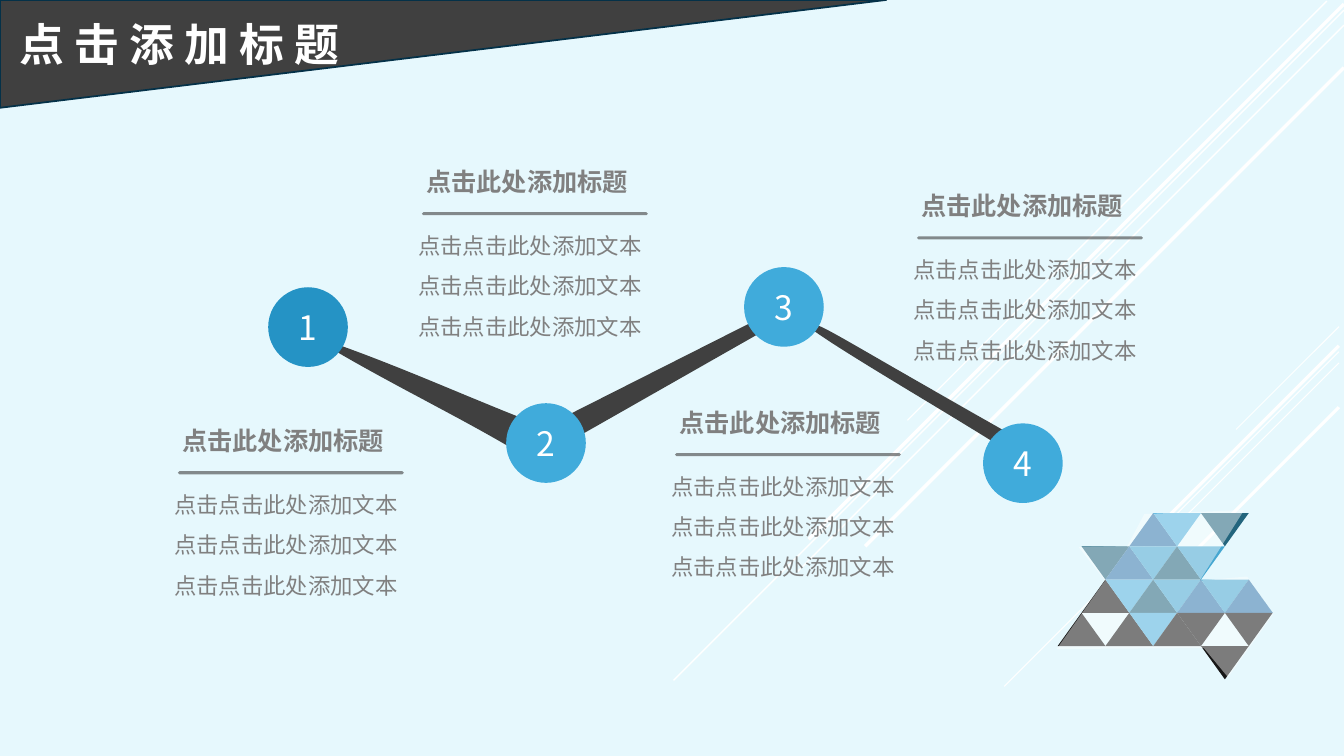
from lxml import etree
from pptx import Presentation
from pptx import util as u
from pptx.dml.color import RGBColor
from pptx.enum import shapes, text
from pptx.oxml.ns import qn

FONT = "Noto Sans CJK SC"
WIDTH, HEIGHT = 13.33, 7.5
WHITE, DARK, GREY, BLUE = "FFFFFF", "404040", "808080", "40ABDB"
MOSAIC_COLOURS = {"B": "1F6BA5", "T": "0E5671", "L": BLUE, "M": "349FCD", "K": "000000"}
MOSAIC_ROWS = ["...BL.T.", ".TBMTM..", ".KLTMBMB", "K.KLKK.K", "......K."]
MOSAIC_VEIL = [(11.18, 5.42), (11.35, 5.1), (12.34, 5.06), (11.9, 5.76), (12.37, 5.72),
               (12.63, 6.09), (12.18, 6.72), (11.94, 6.43), (10.48, 6.44), (10.96, 5.76),
               (10.7, 5.43)]
LOWER_RAYS = [(13.28, 3.24, 1.02, 0.75), (13.28, 3.49, 3.32, 0.75), (13.28, 3.6, 2.11, 0.75),
              (13.28, 3.43, 1.95, 2.25), (13.28, 4.04, 1.42, 2.25)]
UPPER_RAYS = [(13.16, 0.01, 4.16, 1), (13.33, 0.1, 6.65, 1), (13.33, 0.25, 5.42, 1),
              (13.33, 0.04, 5.31, 2.5), (13.33, 0.67, 4.75, 2.5)]
CARDS = [(1.63, 4.69), (4.05, 2.12), (6.56, 4.51), (8.96, 2.36)]
NODES = [(2.66, 2.85, "2593C5"), (5.02, 4, BLUE), (7.38, 2.65, BLUE), (9.75, 4.2, BLUE)]


def colour(value):
    """Turn a hex string into a colour."""
    return RGBColor.from_string(value)


def set_alpha(properties, percent):
    """Make the solid fill in the given properties partly transparent."""
    value = next(properties.iter(qn("a:srgbClr")))
    etree.SubElement(value, qn("a:alpha")).set("val", str(percent * 1000))


def paint(shape, fill, line=None, line_width=1.25, alpha=None):
    """Set the fill and outline of a shape and take away its shadow."""
    shape.shadow.inherit = False
    shape.fill.solid()
    shape.fill.fore_color.rgb = colour(fill)
    if alpha:
        set_alpha(shape.element.spPr, alpha)
    if line:
        shape.line.color.rgb = colour(line)
        shape.line.width = u.Pt(line_width)
    else:
        shape.line.fill.background()
    return shape


def add_preset(slide, kind, box, fill, **look):
    """Add a painted preset shape in a box given in inches."""
    return paint(slide.shapes.add_shape(kind, *map(u.Inches, box)), fill, **look)


def add_polygon(slide, points, fill, **look):
    """Add a painted closed polygon through points given in inches."""
    start, *rest = [(u.Inches(x), u.Inches(y)) for x, y in points]
    builder = slide.shapes.build_freeform(*start)
    builder.add_line_segments(rest, close=True)
    return paint(builder.convert_to_shape(), fill, **look)


def add_line(slide, start, end, value, width, alpha=None):
    """Add a straight line without a shadow."""
    line = slide.shapes.add_connector(shapes.MSO_CONNECTOR.STRAIGHT,
                                      *map(u.Inches, (*start, *end)))
    line.line.color.rgb = colour(value)
    line.line.width = u.Pt(width)
    properties = line.element.spPr
    etree.SubElement(properties, qn("a:effectLst"))
    if alpha:
        set_alpha(properties, alpha)
        properties.find(qn("a:ln")).set("cap", "rnd")


def write(shape, lines, size, value, bold=False, spacing=None,
          align=text.PP_ALIGN.LEFT, anchor=text.MSO_ANCHOR.TOP):
    """Write formatted paragraphs into a shape."""
    frame = shape.text_frame
    frame.word_wrap = True
    frame.auto_size = text.MSO_AUTO_SIZE.NONE
    frame.vertical_anchor = anchor
    frame.text = "\n".join(lines)
    for paragraph in frame.paragraphs:
        paragraph.alignment = align
        if spacing:
            paragraph.line_spacing = spacing
        for run in paragraph.runs:
            run.font.name = FONT
            run.font.size = u.Pt(size)
            run.font.bold = bold
            run.font.color.rgb = colour(value)
            east_asian = etree.SubElement(run.font._element, qn("a:ea"))
            east_asian.set("typeface", FONT)


def add_text(slide, box, lines, size, value, **look):
    """Add a text box in a box given in inches."""
    write(slide.shapes.add_textbox(*map(u.Inches, box)), lines, size, value, **look)


def curve(start, first, second, end, steps=16):
    """List points along a cubic curve."""
    points = []
    for step in range(steps + 1):
        t = step / steps
        weights = ((1 - t) ** 3, 3 * t * (1 - t) ** 2, 3 * t * t * (1 - t), t ** 3)
        points.append(tuple(sum(w * p[axis] for w, p in zip(weights, (start, first, second, end)))
                            for axis in (0, 1)))
    return points


def draw_rays(slide, rays):
    """Draw white diagonal rays falling to the left."""
    for x, y, length, width in rays:
        add_line(slide, (x, y), (x - length, y + length), WHITE, width)


def draw_mosaic(slide, left, top, half=0.237, height=0.33):
    """Draw rows of alternating upward and downward triangles."""
    for row, cells in enumerate(MOSAIC_ROWS):
        for column, cell in enumerate(cells):
            if cell == ".":
                continue
            x, y = left + column * half, top + row * height
            upward = (column + row) % 2
            base, tip = (y + height, y) if upward else (y, y + height)
            add_polygon(slide, [(x, base), (x + half, tip), (x + 2 * half, base)],
                        MOSAIC_COLOURS[cell])


def draw_background(slide):
    """Draw the rays, the mosaic and the pale veils over them."""
    slide.background.fill.solid()
    slide.background.fill.fore_color.rgb = colour("E4F8FD")
    draw_rays(slide, LOWER_RAYS)
    draw_mosaic(slide, 10.49, 5.09)
    draw_rays(slide, UPPER_RAYS)
    add_preset(slide, shapes.MSO_SHAPE.RECTANGLE, (0, 0, WIDTH, HEIGHT), WHITE, alpha=9)
    add_polygon(slide, MOSAIC_VEIL, WHITE, alpha=44)


def draw_header(slide, width, height):
    """Draw the dark corner wedge and set the title on it."""
    wedge = add_preset(slide, shapes.MSO_SHAPE.RIGHT_TRIANGLE, (0, 0, width, height),
                       DARK, line="043148")
    wedge.element.spPr.xfrm.set("flipV", "1")
    title = slide.shapes.title
    title.left, title.top, title.width, title.height = map(u.Inches, (0.09, 0.12, 4.74, 0.64))
    write(title, ["点 击 添 加 标 题"], 32, WHITE, bold=True)
    title.element.getparent().append(title.element)


def draw_chain(slide, size=0.79):
    """Draw the tapering links and the numbered circles."""
    first = (curve((3.06, 3.32), (3.77, 3.55), (4.5, 3.88), (5.13, 4.13))
             + curve((5.03, 4.42), (4.43, 4.07), (3.64, 3.69), (3.06, 3.32)))
    second = [(5.59, 4.14), (7.49, 3.18), (7.51, 3.32), (5.7, 4.35)]
    third = (curve((7.97, 3.2), (8.21, 3.24), (7.96, 3.14), (10.06, 4.33))
             + curve((9.94, 4.44), (9.29, 4.03), (8.11, 3.35), (7.97, 3.2)))
    for link in (first, third, second):
        add_polygon(slide, link, DARK)
    for number, (x, y, fill) in enumerate(NODES, 1):
        circle = add_preset(slide, shapes.MSO_SHAPE.OVAL, (x, y, size, size), fill)
        write(circle, [str(number)], 24, WHITE, align=text.PP_ALIGN.CENTER,
              anchor=text.MSO_ANCHOR.MIDDLE)


def draw_card(slide, left, middle):
    """Draw a heading, a rule at the middle height and three lines below."""
    add_text(slide, (left, middle, 2.51, 1.31), ["点击点击此处添加文本"] * 3, 16, GREY, spacing=1.5)
    add_line(slide, (left + 0.15, middle), (left + 2.36, middle), DARK, 2.25, alpha=60)
    add_text(slide, (left + 0.08, middle - 0.52, 2.44, 0.4), ["点击此处添加标题"], 18, GREY, bold=True)


def main():
    """Build and save the presentation."""
    presentation = Presentation()
    presentation.slide_width, presentation.slide_height = u.Inches(WIDTH), u.Inches(HEIGHT)
    slide = presentation.slides.add_slide(presentation.slide_layouts[5])
    draw_background(slide)
    draw_header(slide, 8.79, 1.07)
    draw_chain(slide)
    for left, middle in CARDS:
        draw_card(slide, left, middle)
    presentation.save("out.pptx")


if __name__ == "__main__":
    main()
